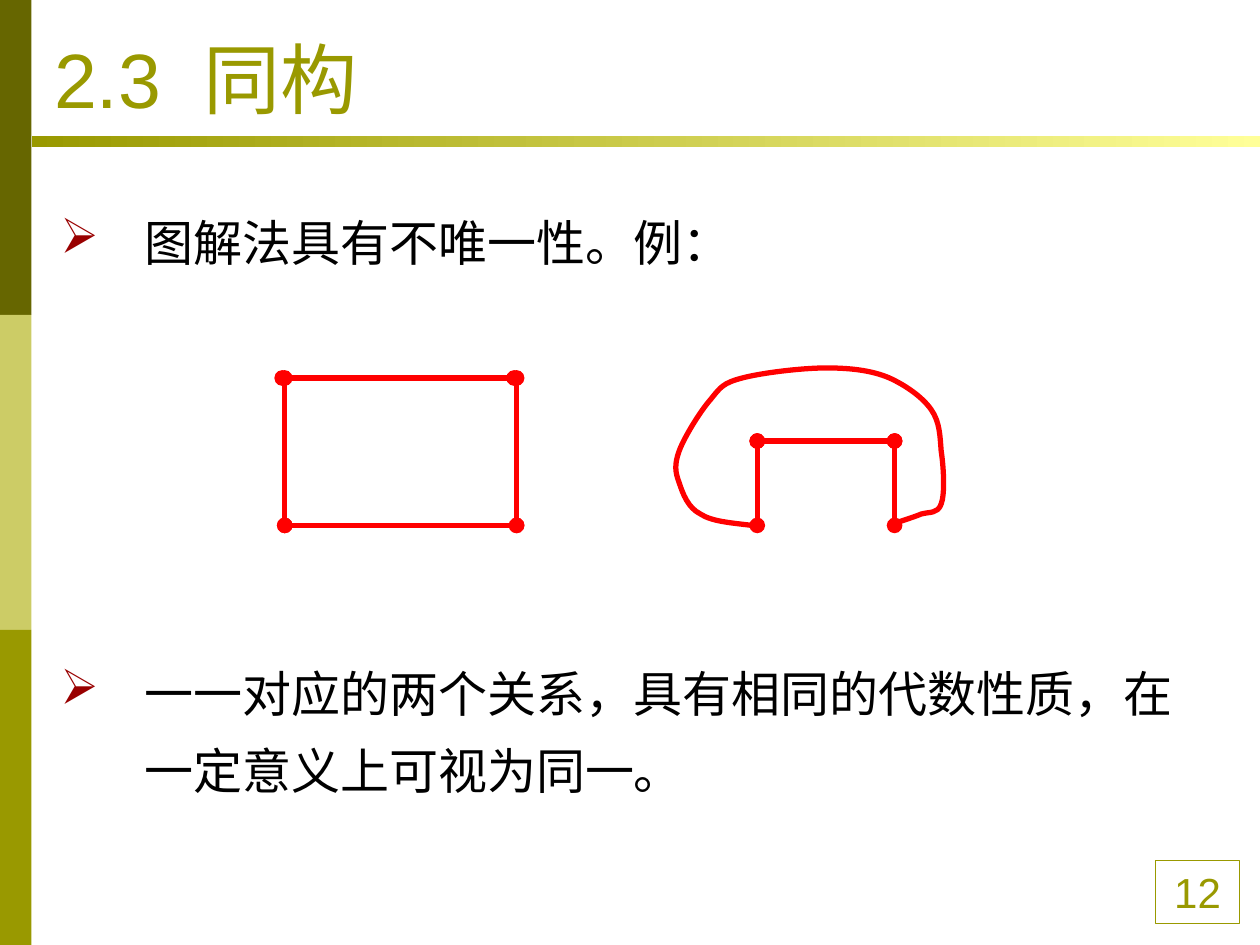
from lxml import etree
from pptx import Presentation
from pptx.dml.color import RGBColor
from pptx.enum.shapes import MSO_CONNECTOR, MSO_SHAPE
from pptx.enum.text import MSO_ANCHOR, PP_ALIGN
from pptx.oxml.ns import qn
from pptx.util import Inches, Pt

RECTANGLE = MSO_SHAPE.RECTANGLE
STRAIGHT = MSO_CONNECTOR.STRAIGHT
TITLE_ONLY = 5

COLORS = {
    "dark olive": "666600", "light olive": "CCCC66", "olive": "999900",
    "pale yellow": "FFFF99", "bullet": "990000", "graph": "FF0000",
    "text": "000000",
}

# Offsets in inches from the top left corner of each graph
RECTANGLE_EDGES = [
    ((0.02, 0), (0.02, 1.17)), ((0, 0), (1.84, 0)),
    ((1.86, 0), (1.86, 1.17)), ((0.02, 1.17), (1.86, 1.17)),
]
BRIDGE_EDGES = [
    ((0.66, 1.25), (0.66, 0.58)), ((0.66, 0.58), (1.75, 0.58)),
    ((1.75, 0.58), (1.75, 1.25)),
]
# Start point, then two control points and an end point for each curve
LOOP_POINTS = [
    (0.62, 1.25),
    (0.46, 1.23), (0.3, 1.22), (0.21, 1.16),
    (0.11, 1.11), (0.07, 1), (0.04, 0.91),
    (0.01, 0.83), (0, 0.77), (0.04, 0.66),
    (0.08, 0.55), (0.21, 0.34), (0.29, 0.25),
    (0.37, 0.15), (0.39, 0.12), (0.54, 0.08),
    (0.69, 0.04), (1.01, 0), (1.21, 0),
    (1.4, 0), (1.57, 0.02), (1.71, 0.08),
    (1.84, 0.14), (1.97, 0.23), (2.04, 0.33),
    (2.11, 0.43), (2.11, 0.54), (2.12, 0.66),
    (2.14, 0.79), (2.15, 1), (2.12, 1.08),
    (2.09, 1.16), (2.03, 1.14), (1.96, 1.16),
    (1.89, 1.19), (1.75, 1.23), (1.71, 1.25),
]


def color(name):
    return RGBColor.from_string(COLORS[name])


def add_rectangle(slide, left, top, width, height, fill=None):
    box = slide.shapes.add_shape(RECTANGLE, left, top, width, height)
    box.shadow.inherit = False
    box.line.fill.background()
    if fill:
        box.fill.solid()
        box.fill.fore_color.rgb = color(fill)
    return box


def add_sidebar(slide, left, top, width, height):
    bands = ["dark olive", "light olive", "olive"]
    band_height = height // len(bands)
    for i, band in enumerate(bands):
        add_rectangle(slide, left, top + i * band_height, width, band_height, band)


def add_title_rule(slide, left, top, width, height):
    rule = add_rectangle(slide, left, top, width, height)
    rule.fill.gradient()
    rule.fill.gradient_angle = 0
    for stop, name in zip(rule.fill.gradient_stops, ["olive", "pale yellow"]):
        stop.color.rgb = color(name)


def add_page_number(slide, left, top, width, height):
    number = add_rectangle(slide, left, top, width, height)
    number.fill.background()
    number.line.color.rgb = color("olive")
    number.line.width = Pt(0.75)
    number.text_frame.text = "12"
    paragraph = number.text_frame.paragraphs[0]
    paragraph.alignment = PP_ALIGN.CENTER
    set_font(paragraph, "Arial", 24, "olive")


def set_font(paragraph, name, size, color_name):
    paragraph.font.name = name
    paragraph.font.size = Pt(size)
    paragraph.font.color.rgb = color(color_name)


def place_title(slide, left, top, width, height):
    title = slide.shapes.title
    title.left, title.top, title.width, title.height = left, top, width, height
    title.text_frame.vertical_anchor = MSO_ANCHOR.BOTTOM
    paragraph = title.text_frame.paragraphs[0]
    for part in ["2.3", " ", "同构"]:
        run = paragraph.add_run()
        run.text = part
        if part == " ":
            run.font._element.set("spc", "1200")  # widens the gap after the number
    paragraph.alignment = PP_ALIGN.LEFT
    set_font(paragraph, "Arial", 44, "olive")


def add_bullet_point(slide, text, left, top, width, height):
    point = slide.shapes.add_textbox(left, top, width, height)
    point.text_frame.word_wrap = True
    paragraph = point.text_frame.paragraphs[0]
    paragraph.text = text
    paragraph.line_spacing = 1.3
    paragraph.space_after = Pt(17.5)
    properties = paragraph._p.get_or_add_pPr()
    indent = Inches(0.67)
    properties.set("marL", str(indent))
    properties.set("indent", str(-indent))
    bullet_color = etree.SubElement(properties, qn("a:buClr"))
    etree.SubElement(bullet_color, qn("a:srgbClr"), val=COLORS["bullet"])
    etree.SubElement(properties, qn("a:buChar"), char="➢")
    set_font(paragraph, "Times New Roman", 28, "text")


def style_graph_line(line):
    line.color.rgb = color("graph")
    line.width = Pt(3)


def add_edges(graph, edges, left, top):
    """Draw straight edges with a round vertex at both ends."""
    for (x1, y1), (x2, y2) in edges:
        edge = graph.shapes.add_connector(
            STRAIGHT, left + Inches(x1), top + Inches(y1),
            left + Inches(x2), top + Inches(y2))
        style_graph_line(edge.line)
        for end in ["a:headEnd", "a:tailEnd"]:
            etree.SubElement(edge.line._get_or_add_ln(), qn(end), type="oval")
        etree.SubElement(edge._element.spPr, qn("a:effectLst"))


def add_loop(graph, left, top):
    """Draw the curved edge, turning each three points into one Bézier curve."""
    points = [(left + Inches(x), top + Inches(y)) for x, y in LOOP_POINTS]
    builder = graph.shapes.build_freeform(*points[0])
    builder.add_line_segments(points[1:], close=False)
    loop = builder.convert_to_shape()
    loop.shadow.inherit = False
    loop.fill.background()
    style_graph_line(loop.line)
    segments = list(loop._element.iter(qn("a:lnTo")))
    for i in range(0, len(segments), 3):
        curve = etree.SubElement(segments[i].getparent(), qn("a:cubicBezTo"))
        for segment in segments[i:i + 3]:
            curve.append(segment[0])
            segment.getparent().remove(segment)


def add_rectangle_graph(slide, left, top):
    add_edges(slide.shapes.add_group_shape(), RECTANGLE_EDGES, left, top)


def add_loop_graph(slide, left, top):
    graph = slide.shapes.add_group_shape()
    add_loop(graph, left, top)
    add_edges(graph, BRIDGE_EDGES, left, top)


def main():
    deck = Presentation()
    deck.slide_width, deck.slide_height = Inches(10), Inches(7.5)
    slide = deck.slides.add_slide(deck.slide_layouts[TITLE_ONLY])

    add_sidebar(slide, 0, 0, Inches(0.25), deck.slide_height)
    add_page_number(slide, Inches(9.17), Inches(6.83), Inches(0.67), Inches(0.5))
    add_title_rule(slide, Inches(0.25), Inches(1.08), Inches(9.75), Inches(0.09))
    place_title(slide, Inches(0.33), Inches(0.17), Inches(2.92), Inches(0.86))

    add_bullet_point(slide, "图解法具有不唯一性。例：",
                     Inches(0.38), Inches(1.5), Inches(9.29), Inches(0.71))
    add_rectangle_graph(slide, Inches(2.24), Inches(3))
    add_loop_graph(slide, Inches(5.35), Inches(2.92))
    add_bullet_point(slide, "一一对应的两个关系，具有相同的代数性质，在一定意义上可视为同一。",
                     Inches(0.38), Inches(5.08), Inches(9.29), Inches(1.32))

    deck.save("out.pptx")


if __name__ == "__main__":
    main()
